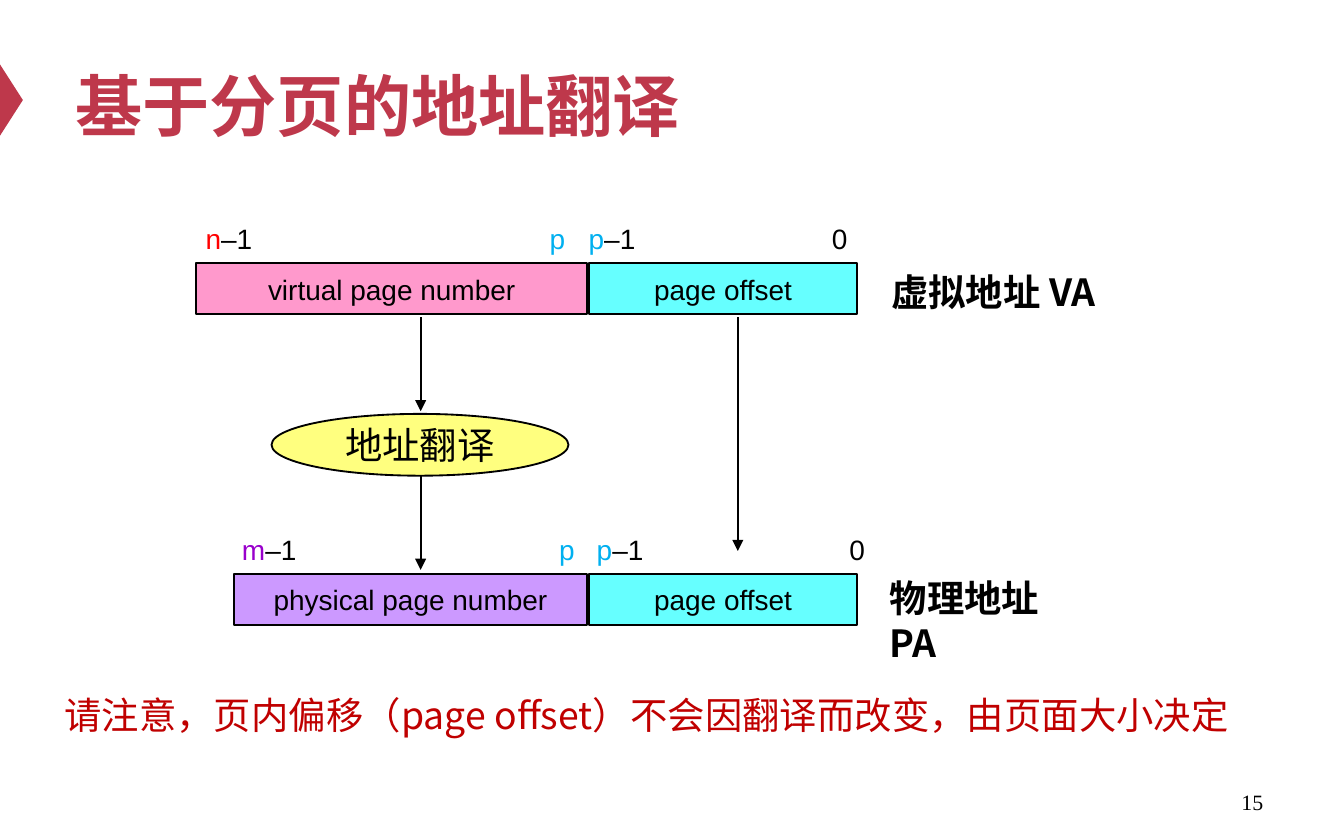
from lxml import etree
from pptx import Presentation
from pptx import util as u
from pptx.dml.color import RGBColor
from pptx.enum import shapes, text
from pptx.oxml.ns import qn

BLACK = RGBColor(0, 0, 0)
CRIMSON = RGBColor(0xBE, 0x38, 0x4B)
DARK_RED = RGBColor(0xC0, 0, 0)
RED = RGBColor(0xFF, 0, 0)
BLUE = RGBColor(0, 0xB0, 0xF0)
PURPLE = RGBColor(0x99, 0, 0xCC)
PINK = RGBColor(0xFF, 0x99, 0xCC)
CYAN = RGBColor(0x66, 0xFF, 0xFF)
LILAC = RGBColor(0xCC, 0x99, 0xFF)
YELLOW = RGBColor(0xFF, 0xFF, 0)
CJK = "Noto Sans CJK SC"
LEFT, CENTER, RIGHT = (text.PP_ALIGN.LEFT, text.PP_ALIGN.CENTER,
                       text.PP_ALIGN.RIGHT)
MIDDLE = text.MSO_ANCHOR.MIDDLE


def set_frame(tf, wrap=False, anchor=text.MSO_ANCHOR.TOP):
    tf.word_wrap = wrap
    tf.vertical_anchor = anchor
    tf.margin_left = tf.margin_right = u.Inches(0.08)
    tf.margin_top = tf.margin_bottom = u.Inches(0.04)


def add_run(p, words, size=15, font="Arial", color=BLACK, bold=False):
    r = p.add_run()
    r.text = words
    r.font.size, r.font.name, r.font.bold = u.Pt(size), font, bold
    r.font.color.rgb = color
    if font == CJK:
        etree.SubElement(r.font._element, qn("a:ea"), typeface=CJK)


def add_label(s, x, y, w, h, runs, wrap=False, align=LEFT, **style):
    """Text box; runs holds (words, colour) pairs."""
    tf = s.shapes.add_textbox(*map(u.Inches, (x, y, w, h))).text_frame
    set_frame(tf, wrap)
    p = tf.paragraphs[0]
    p.alignment = align
    for words, color in runs:
        add_run(p, words, color=color, **style)
    return tf


def add_block(s, kind, x, y, w, h, fill, words, **style):
    sp = s.shapes.add_shape(kind, *map(u.Inches, (x, y, w, h)))
    sp.shadow.inherit = False
    sp.fill.solid()
    sp.fill.fore_color.rgb = fill
    sp.line.color.rgb = BLACK
    sp.line.width = u.Pt(1)
    set_frame(sp.text_frame, anchor=MIDDLE)
    p = sp.text_frame.paragraphs[0]
    p.alignment = CENTER
    add_run(p, words, **style)
    return sp


def add_arrow(s, x, top, bottom):
    line = s.shapes.add_connector(shapes.MSO_CONNECTOR.STRAIGHT, *map(
        u.Inches, (x, top, x, bottom)))
    line.line.color.rgb = BLACK
    line.line.width = u.Pt(1)
    etree.SubElement(line.line._get_or_add_ln(), qn("a:tailEnd"),
                     type="triangle")
    etree.SubElement(line._element.spPr, qn("a:effectLst"))


def add_address(s, y, left, fill, words, bits):
    """Address row: page number, page offset, and bit positions above."""
    split, right = 4.38, 6.38
    rect = shapes.MSO_SHAPE.RECTANGLE
    add_block(s, rect, left, y, split - 0.01 - left, 0.38, fill, words)
    add_block(s, rect, split, y, right - split, 0.38, CYAN, "page offset")
    for x, w, runs in bits:
        add_label(s, x, y - 0.35, w, 0.33, runs)


def add_title(s, words):
    sp = s.shapes.title
    sp.left, sp.top, sp.width, sp.height = map(
        u.Inches, (0.46, 0.36, 8.83, 0.83))
    tf = sp.text_frame
    tf.auto_size = text.MSO_AUTO_SIZE.NONE
    tf.vertical_anchor = MIDDLE
    p = tf.paragraphs[0]
    p.alignment = LEFT
    add_run(p, words, 36, color=CRIMSON, bold=True)
    etree.SubElement(p.runs[0].font._element, qn("a:ea"), typeface=CJK)


def main():
    prs = Presentation()
    prs.slide_width, prs.slide_height = u.Inches(10), u.Inches(6.25)
    s = prs.slides.add_slide(prs.slide_layouts[5])

    # Title and edge marker
    add_title(s, "基于分页的地址翻译")
    marker = s.shapes.add_shape(shapes.MSO_SHAPE.ISOSCELES_TRIANGLE, *map(
        u.Inches, (-0.18, 0.66, 0.53, 0.17)))
    marker.rotation = 90
    marker.shadow.inherit = False
    marker.fill.solid()
    marker.fill.fore_color.rgb = CRIMSON
    marker.line.fill.background()

    # Virtual and physical addresses
    minus, zero, p_bit = ("–1", BLACK), ("0", BLACK), ("p", BLUE)
    add_address(s, 1.96, 1.46, PINK, "virtual page number", [
        (1.45, 0.52, [("n", RED), minus]), (4.01, 0.28, [p_bit]),
        (4.3, 0.52, [p_bit, minus]), (6.11, 0.28, [zero])])
    add_address(s, 4.27, 1.74, LILAC, "physical page number", [
        (1.72, 0.58, [("m", PURPLE), minus]), (4.08, 0.28, [p_bit]),
        (4.36, 0.52, [p_bit, minus]), (6.24, 0.28, [zero])])
    heading = dict(size=20, font=CJK, bold=True)
    add_label(s, 6.55, 1.96, 1.77, 0.42, [("虚拟地址 VA", BLACK)], **heading)
    add_label(s, 6.54, 4.24, 1.5, 0.42, [("物理地址 PA", BLACK)], wrap=True,
              **heading)

    # Translation step and arrows
    step = add_block(s, shapes.MSO_SHAPE.OVAL, 2.02, 3.08, 2.21, 0.46, YELLOW,
                     "地址翻译", size=20, font=CJK)
    fill_color = step.fill._xPr.find(qn("a:solidFill"))[0]
    etree.SubElement(fill_color, qn("a:alpha"), val="50000")
    for x, top, bottom in ((3.13, 2.36, 3.06), (3.13, 3.54, 4.24),
                           (5.49, 2.36, 4.1)):
        add_arrow(s, x, top, bottom)

    # Closing remark and page number
    remark = "请注意，页内偏移（page offset）不会因翻译而改变，由页面大小决定"
    add_label(s, 0.4, 5.11, 8.96, 0.42, [(remark, DARK_RED)], wrap=True,
              size=20, font=CJK)
    add_label(s, 7.17, 5.83, 2.31, 0.25, [("15", BLACK)], align=RIGHT,
              size=11.7, font="Times New Roman")

    prs.save("out.pptx")


if __name__ == "__main__":
    main()
